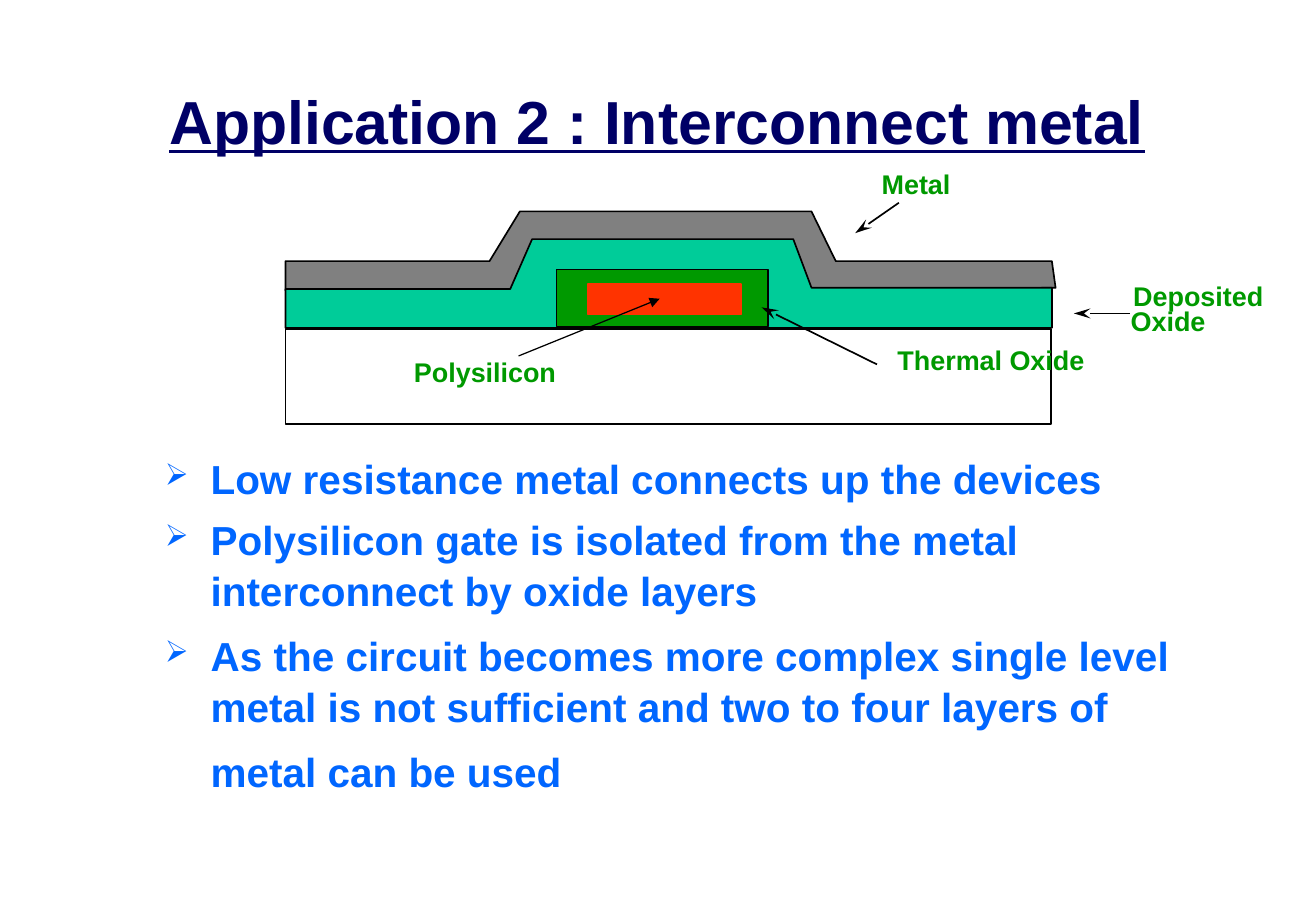
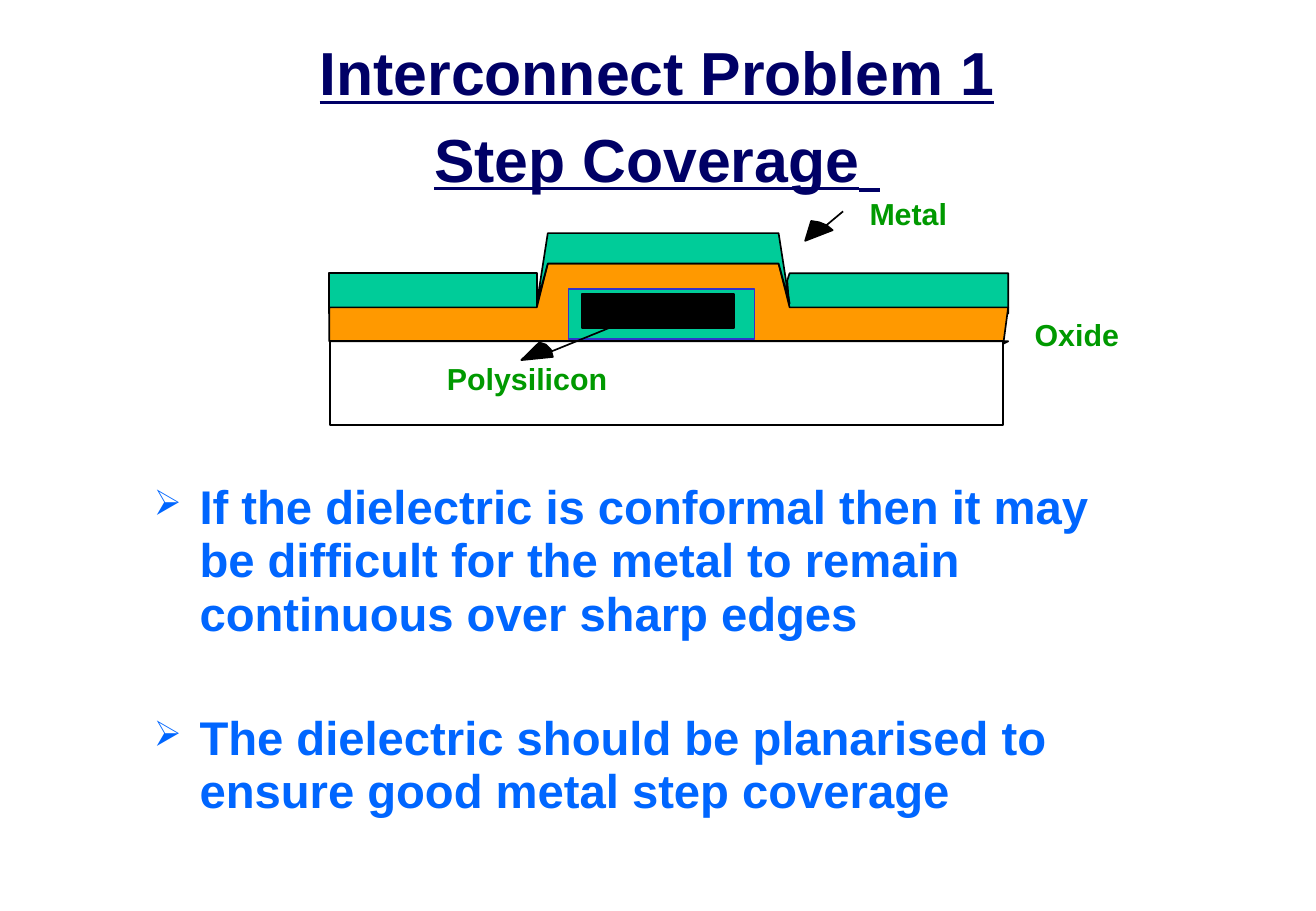
from dataclasses import dataclass

from lxml import etree
from pptx import Presentation
from pptx.dml.color import RGBColor
from pptx.enum.shapes import MSO_CONNECTOR, MSO_SHAPE
from pptx.enum.text import MSO_ANCHOR, MSO_AUTO_SIZE, PP_ALIGN
from pptx.oxml.ns import qn
from pptx.util import Pt

STRAIGHT = MSO_CONNECTOR.STRAIGHT
RECTANGLE = MSO_SHAPE.RECTANGLE
MIDDLE = MSO_ANCHOR.MIDDLE
FIT_SHAPE = MSO_AUTO_SIZE.SHAPE_TO_FIT_TEXT
CENTER = PP_ALIGN.CENTER

# Shared style
NAVY, BLUE, GREEN, BLACK = "000066", "0066FF", "009900", "000000"
TEAL, GRAY, ORANGE, RED, INDIGO = "00CC99", "808080", "FF9900", "FF3300", "3333CC"
FONT = "Arial"
TITLE_SIZE, TITLE_SPACE_SIZE = 36, 44
BULLET, BULLET_INDENT = "➢", 27


@dataclass
class Outline:
    points: list[tuple[float, float]]
    fill: str


@dataclass
class Box:
    left: float
    top: float
    width: float
    height: float
    fill: str | None = None
    line: str = BLACK


@dataclass
class Label:
    text: str
    left: float
    top: float
    width: float
    size: float
    height: float = 27


@dataclass
class Arrow:
    start: tuple[float, float]
    tip: tuple[float, float]
    head: str | None = "stealth"
    length: str = "lg"
    weight: float = 1


@dataclass
class BulletList:
    left: float
    top: float
    width: float
    height: float
    size: float
    line_spacing: float
    items: list[tuple[str, float]]  # text and space before
    closing_space: float | None = None


@dataclass
class Page:
    title: str
    title_top: float
    bullets: BulletList
    diagram: list[Outline | Box | Label | Arrow]


PAGES = [
    Page(
        "Application 2 : Interconnect metal",
        26.5,
        BulletList(90.7, 264.2, 610.6, 240, 24, 1.05, [
            ("Low resistance metal connects up the devices", 0),
            ("Polysilicon gate is isolated from the metal interconnect by oxide layers", 6),
            ("As the circuit becomes more complex single level metal is not sufficient "
             "and two to four layers of metal can be used", 8),
        ], closing_space=32),
        [
            Label("Metal", 515.5, 95.8, 55.4, 16),
            # Metal and deposited oxide films
            Outline([(169.2, 172.1), (169.2, 154.8), (290.2, 154.8), (308.2, 125.3),
                     (481, 125.3), (495.4, 154.8), (623.5, 154.8), (625.7, 170.6)], GRAY),
            Outline([(169.2, 194.4), (169.2, 171.4), (302.4, 171.4), (315.4, 141.8),
                     (470.2, 141.8), (481, 170.6), (623.5, 170.6), (623.5, 194.4)], TEAL),
            # Substrate, thermal oxide and gate
            Box(169.2, 195.1, 453.6, 56.2),
            Box(329.8, 159.8, 125.3, 33.8, GREEN),
            Box(348.5, 168.5, 90.7, 18, RED, RED),
            Label("Deposited", 664.6, 162, 91.4, 16, 45),
            Label("Oxide", 663.1, 177.1, 59, 16),
            Label("Thermal Oxide", 524.9, 200.2, 125.3, 16),
            Label("Polysilicon", 238.3, 207.4, 98.6, 16),
            Arrow((519.8, 216), (451.4, 182.2)),
            Arrow((669.6, 185.8), (636.5, 185.8)),
            Arrow((532.8, 120.2), (506.9, 138.2)),
            Arrow((307.4, 211), (391, 177.1), "triangle", "med", 0.75),
        ],
    ),
    Page(
        "Interconnect Problem 1\vStep Coverage",
        23.8,
        BulletList(84.2, 282.2, 604.1, 216, 28, 0.94, [
            ("If the dielectric is conformal then it may be difficult for the metal "
             "to remain continuous over sharp edges", 0),
            ("The dielectric should be planarised to ensure good metal step coverage", 42),
        ]),
        [
            # Broken metal film on both sides of the step
            Outline([(597.6, 185.8), (597.6, 162), (468, 162), (466.6, 166.3),
                     (468, 185.8)], TEAL),
            Outline([(195.1, 162), (318.2, 162), (318.2, 185.8), (195.1, 185.8)], TEAL),
            # Oxide film
            Outline([(195.1, 182.2), (195.1, 202.3), (597.6, 202.3), (594.7, 203.8),
                     (597.6, 182.2), (468, 182.2), (461.5, 156.2), (324.7, 156.2),
                     (318.2, 182.2)], ORANGE),
            # Substrate, thermal oxide and gate
            Box(195.8, 202.3, 398.9, 49.7),
            Box(337, 171.4, 110.2, 29.5, TEAL, INDIGO),
            Box(344.9, 174.2, 90, 20.2, BLACK),
            Label("Oxide", 606.2, 183.6, 64.8, 18, 29),
            # Pointers with wide rounded heads
            Outline([(309, 213.5), (319.7, 203), (323.5, 204.3), (326.5, 207.3),
                     (327.7, 211.6)], BLACK),
            Arrow((366.5, 192.2), (316.8, 212.4), None),
            Label("Polysilicon", 257.8, 210.2, 109.4, 18, 29),
            Outline([(477.2, 142.8), (480.8, 131), (485.5, 131.8), (490, 133.6),
                     (493.5, 136.5)], BLACK),
            Arrow((499.7, 125.3), (482.4, 139.7), None),
            # Metal film on top of the step
            Outline([(318.2, 180), (324.7, 138.2), (461.5, 138.2), (468, 180),
                     (461.5, 156.2), (324.7, 156.2)], TEAL),
            Label("Metal", 508.3, 112.3, 60.5, 18, 29),
        ],
    ),
]


def color(value: str) -> RGBColor:
    return RGBColor.from_string(value)


def style_run(run, size: float, value: str, underline: bool = False) -> None:
    run.font.name = FONT
    run.font.size = Pt(size)
    run.font.bold = True
    run.font.underline = underline
    run.font.color.rgb = color(value)


def add_text_frame(slide, left: float, top: float, width: float, height: float,
                   wrap: bool = True):
    text_box = slide.shapes.add_textbox(Pt(left), Pt(top), Pt(width), Pt(height))
    text_box.text_frame.word_wrap = wrap
    return text_box.text_frame


def add_title(slide, text: str, top: float) -> None:
    text_frame = add_text_frame(slide, 58.3, top, 662.4, 90)
    text_frame.vertical_anchor = MIDDLE
    text_frame.text = text
    paragraph = text_frame.paragraphs[0]
    paragraph.alignment = CENTER
    for run in paragraph.runs:
        style_run(run, TITLE_SIZE, NAVY, underline=True)
    # A two-line title takes its line height from a larger break and closing space
    line_breaks = paragraph._p.findall(qn("a:br"))
    for line_break in line_breaks:
        properties = etree.SubElement(line_break, qn("a:rPr"), sz=str(TITLE_SPACE_SIZE * 100))
        etree.SubElement(properties, qn("a:latin"), typeface=FONT)
    if line_breaks:
        space = paragraph.add_run()
        space.text = " "
        style_run(space, TITLE_SPACE_SIZE, NAVY, underline=True)
        space.font.bold = False


def add_bullet(paragraph) -> None:
    properties = paragraph._p.get_or_add_pPr()
    properties.set("marL", str(Pt(BULLET_INDENT)))
    properties.set("indent", str(-Pt(BULLET_INDENT)))
    bullet_color = etree.SubElement(properties, qn("a:buClr"))
    etree.SubElement(bullet_color, qn("a:srgbClr"), val=BLUE)
    etree.SubElement(properties, qn("a:buSzPct"), val="75000")
    etree.SubElement(properties, qn("a:buChar"), char=BULLET)


def add_bullets(slide, bullets: BulletList) -> None:
    text_frame = add_text_frame(slide, bullets.left, bullets.top, bullets.width, bullets.height)
    text_frame.text = "\n".join(text for text, _ in bullets.items)
    for paragraph, (_, space_before) in zip(text_frame.paragraphs, bullets.items):
        add_bullet(paragraph)
        paragraph.line_spacing = bullets.line_spacing
        paragraph.space_before = Pt(space_before)
        style_run(paragraph.runs[0], bullets.size, BLUE)
    if bullets.closing_space:
        space = text_frame.paragraphs[-1].add_run()
        space.text = " "
        space.font.name = "Times New Roman"
        space.font.size = Pt(bullets.closing_space)


def style_shape(shape, fill: str | None, line: str) -> None:
    shape.shadow.inherit = False
    if fill:
        shape.fill.solid()
        shape.fill.fore_color.rgb = color(fill)
    else:
        shape.fill.background()
    shape.line.color.rgb = color(line)
    shape.line.width = Pt(1)


def add_outline(slide, outline: Outline) -> None:
    start, *others = [(Pt(x), Pt(y)) for x, y in outline.points]
    builder = slide.shapes.build_freeform(*start)
    builder.add_line_segments(others, close=True)
    style_shape(builder.convert_to_shape(), outline.fill, BLACK)


def add_box(slide, box: Box) -> None:
    shape = slide.shapes.add_shape(
        RECTANGLE, Pt(box.left), Pt(box.top), Pt(box.width), Pt(box.height))
    style_shape(shape, box.fill, box.line)


def add_label(slide, label: Label) -> None:
    text_frame = add_text_frame(
        slide, label.left, label.top, label.width, label.height, wrap=False)
    text_frame.auto_size = FIT_SHAPE
    text_frame.text = label.text
    style_run(text_frame.paragraphs[0].runs[0], label.size, GREEN)


def add_arrow(slide, arrow: Arrow) -> None:
    ends = [Pt(value) for value in (*arrow.start, *arrow.tip)]
    connector = slide.shapes.add_connector(STRAIGHT, *ends)
    connector.line.color.rgb = color(BLACK)
    connector.line.width = Pt(arrow.weight)
    if arrow.head:
        etree.SubElement(connector.line._get_or_add_ln(), qn("a:tailEnd"),
                         type=arrow.head, w="med", len=arrow.length)
    etree.SubElement(connector._element.spPr, qn("a:effectLst"))


DRAWERS = {Outline: add_outline, Box: add_box, Label: add_label, Arrow: add_arrow}


def main() -> None:
    presentation = Presentation()
    presentation.slide_width, presentation.slide_height = Pt(780), Pt(540)
    blank_layout = presentation.slide_layouts[6]
    for page in PAGES:
        slide = presentation.slides.add_slide(blank_layout)
        add_title(slide, page.title, page.title_top)
        add_bullets(slide, page.bullets)
        for part in page.diagram:
            DRAWERS[type(part)](slide, part)
    presentation.save("out.pptx")


if __name__ == "__main__":
    main()
